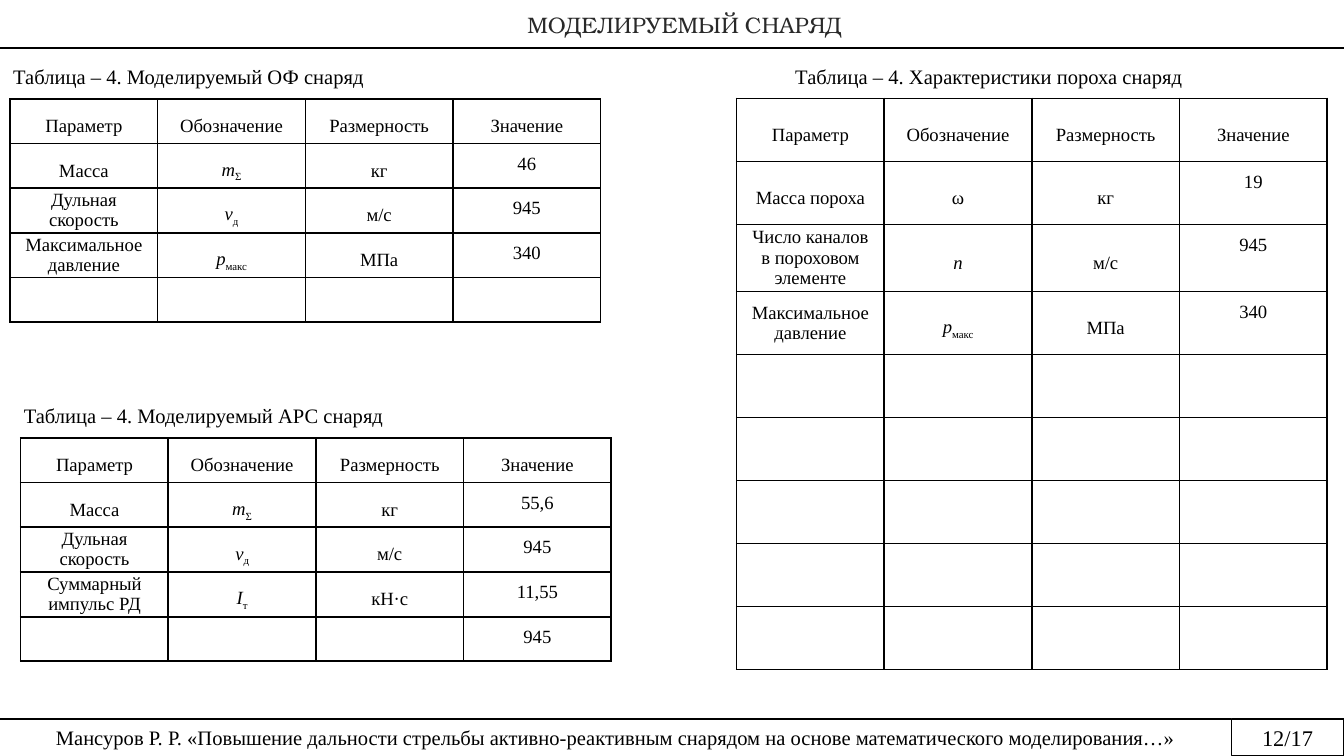
from lxml import etree
from pptx import Presentation
from pptx.dml.color import RGBColor
from pptx.enum.shapes import MSO_CONNECTOR, MSO_SHAPE
from pptx.enum.text import MSO_ANCHOR, MSO_AUTO_SIZE, PP_ALIGN
from pptx.oxml.ns import qn
from pptx.util import Cm, Pt

CENTER, LEFT = PP_ALIGN.CENTER, PP_ALIGN.LEFT
MIDDLE, TOP = MSO_ANCHOR.MIDDLE, MSO_ANCHOR.TOP
RECTANGLE, STRAIGHT = MSO_SHAPE.RECTANGLE, MSO_CONNECTOR.STRAIGHT
NO_AUTOFIT = MSO_AUTO_SIZE.NONE

COLORS = {"ink": "000000", "title": "292929", "paper": "FFFFFF"}
SERIF, TITLE_FONT = "Times New Roman", "TeX Gyre Bonum"
SLIDE_W, SLIDE_H = 25.4, 14.29
COLUMN_W = 2.79
CAPTION_RISE, CAPTION_H = 0.78, 0.74

BAR_INSETS = {"margin_left": Cm(0.18), "margin_right": Cm(0.18),
              "margin_top": Cm(0.1), "margin_bottom": Cm(0.1)}
CELL_INSETS = {"margin_left": Cm(0.18), "margin_right": Cm(0.18),
               "margin_top": 0, "margin_bottom": 0}
TITLE_INSETS = {"margin_left": Cm(0.5), "margin_right": Cm(0.03),
                "margin_top": Cm(0.03), "margin_bottom": Cm(0.03)}

# Table contents: a tuple is a variable with an optional subscript
HEADINGS = ("Параметр", "Обозначение", "Размерность", "Значение")
EMPTY_ROW = ("", "", "", "")
SPEED = ("Дульная скорость", ("v", "д"), "м/с", "945")
PRESSURE = ("Максимальное давление", ("p", "макс"), "МПа", "340")
HE_SHELL = [HEADINGS, ("Масса", ("m", "Σ"), "кг", "46"), SPEED, PRESSURE, EMPTY_ROW]
ROCKET_SHELL = [
    HEADINGS,
    ("Масса", ("m", "Σ"), "кг", "55,6"),
    SPEED,
    ("Суммарный импульс РД", ("I", "т"), "кН·с", "11,55"),
    ("", "", "", "945"),
]
POWDER = [
    HEADINGS,
    ("Масса пороха", "ω", "кг", "19"),
    ("Число каналов в пороховом элементе", ("n",), "м/с", "945"),
    PRESSURE,
] + [EMPTY_ROW] * 5


def apply_format(target, values):
    for name, value in values.items():
        setattr(target, name, value)


def rgb(name):
    return RGBColor.from_string(COLORS[name])


def add_run(paragraph, text, size, font=SERIF, color="ink", italic=False):
    run = paragraph.add_run()
    run.text = text
    apply_format(run.font, {"size": Pt(size), "name": font, "italic": italic})
    run.font.color.rgb = rgb(color)
    return run


def write_line(frame, text, size, align, **insets):
    apply_format(frame, {"word_wrap": True, **insets})
    frame.paragraphs[0].alignment = align
    return add_run(frame.paragraphs[0], text, size)


def add_rule(slide, left, top, width):
    rule = slide.shapes.add_connector(
        STRAIGHT, Cm(left), Cm(top), Cm(left + width), Cm(top))
    rule.line.color.rgb = rgb("ink")
    rule.line.width = Pt(0.75)
    etree.SubElement(rule.line._get_or_add_ln().getparent(), qn("a:effectLst"))


def add_header(slide, left, top, width, height):
    title = slide.shapes.title
    apply_format(title, {"left": Cm(left), "top": Cm(top),
                         "width": Cm(width), "height": Cm(height)})
    title.fill.solid()
    title.fill.fore_color.rgb = rgb("paper")
    frame = title.text_frame
    apply_format(frame, {"auto_size": NO_AUTOFIT, "vertical_anchor": MIDDLE,
                         "word_wrap": True, **TITLE_INSETS})
    frame.paragraphs[0].alignment = CENTER
    heading = add_run(frame.paragraphs[0], "МОДЕЛИРУЕМЫЙ СНАРЯД", 12,
                      TITLE_FONT, "title")
    heading.font._element.set("cap", "small")
    add_rule(slide, left, top + height - 0.03, width)


def add_footer(slide, left, top, width, height, number_w=2.13):
    # Author and thesis
    work_w = width - number_w
    work = slide.shapes.add_textbox(Cm(left), Cm(top), Cm(work_w), Cm(height))
    write_line(work.text_frame,
               "Мансуров Р. Р. «Повышение дальности стрельбы активно-реактивным "
               "снарядом на основе математического моделирования…»",
               11, CENTER, vertical_anchor=MIDDLE, **BAR_INSETS)
    add_rule(slide, left, top, work_w)

    # Page number
    page = slide.shapes.add_shape(
        RECTANGLE, Cm(left + work_w), Cm(top), Cm(number_w), Cm(height))
    page.shadow.inherit = False
    page.fill.solid()
    page.fill.fore_color.rgb = rgb("paper")
    page.line.color.rgb = rgb("ink")
    page.line.width = Pt(0.75)
    write_line(page.text_frame, "12/17", 12, CENTER,
               vertical_anchor=MIDDLE, **BAR_INSETS)


def border_cell(cell):
    properties = cell._tc.get_or_add_tcPr()
    for position, side in enumerate(("lnL", "lnR", "lnT", "lnB")):
        line = etree.Element(qn(f"a:{side}"), w=str(Pt(1)))
        fill = etree.SubElement(line, qn("a:solidFill"))
        etree.SubElement(fill, qn("a:srgbClr"), val=COLORS["ink"])
        properties.insert(position, line)


def fill_cell(cell, content, row, column):
    is_value = row > 0 and column == 3
    is_long_name = row > 1 and column == 0
    apply_format(cell, {"vertical_anchor": TOP if is_value else MIDDLE, **CELL_INSETS})
    cell.fill.background()
    border_cell(cell)
    if not content:
        return
    paragraph = cell.text_frame.paragraphs[0]
    apply_format(paragraph, {"alignment": CENTER,
                             "line_spacing": 1.0 if is_long_name else 1.5})
    if isinstance(content, str):
        add_run(paragraph, content, 10)
        return
    variable, *subscripts = content
    add_run(paragraph, variable, 10, italic=True)
    for subscript in subscripts:
        add_run(paragraph, subscript, 10).font._element.set("baseline", "-25000")


def add_parameter_table(slide, left, top, row_h, caption, rows, caption_shift, caption_w):
    label = slide.shapes.add_textbox(Cm(left + caption_shift), Cm(top - CAPTION_RISE),
                                     Cm(caption_w), Cm(CAPTION_H))
    write_line(label.text_frame, caption, 11, LEFT)

    columns = len(HEADINGS)
    table = slide.shapes.add_table(
        len(rows), columns, Cm(left), Cm(top),
        Cm(COLUMN_W * columns), Cm(row_h * len(rows))).table
    apply_format(table, {"first_row": False, "horz_banding": False})
    for column in table.columns:
        column.width = Cm(COLUMN_W)
    for r, contents in enumerate(rows):
        table.rows[r].height = Cm(row_h)
        for c, content in enumerate(contents):
            fill_cell(table.cell(r, c), content, r, c)


def main():
    deck = Presentation()
    deck.slide_width, deck.slide_height = Cm(SLIDE_W), Cm(SLIDE_H)
    slide = deck.slides.add_slide(deck.slide_layouts[5])

    add_header(slide, 0, 0, SLIDE_W, 0.94)
    add_footer(slide, 0, 13.59, SLIDE_W, 0.69)
    add_parameter_table(slide, 0.19, 1.87, 0.84,
                        "Таблица – 4. Моделируемый ОФ снаряд", HE_SHELL, -0.19, 12.7)
    add_parameter_table(slide, 13.92, 1.86, 1.19,
                        "Таблица – 4. Характеристики пороха снаряд", POWDER, 0.86, 10.6)
    add_parameter_table(slide, 0.39, 8.28, 0.84,
                        "Таблица – 4. Моделируемый АРС снаряд", ROCKET_SHELL, -0.19, 12.7)
    deck.save("out.pptx")


if __name__ == "__main__":
    main()
